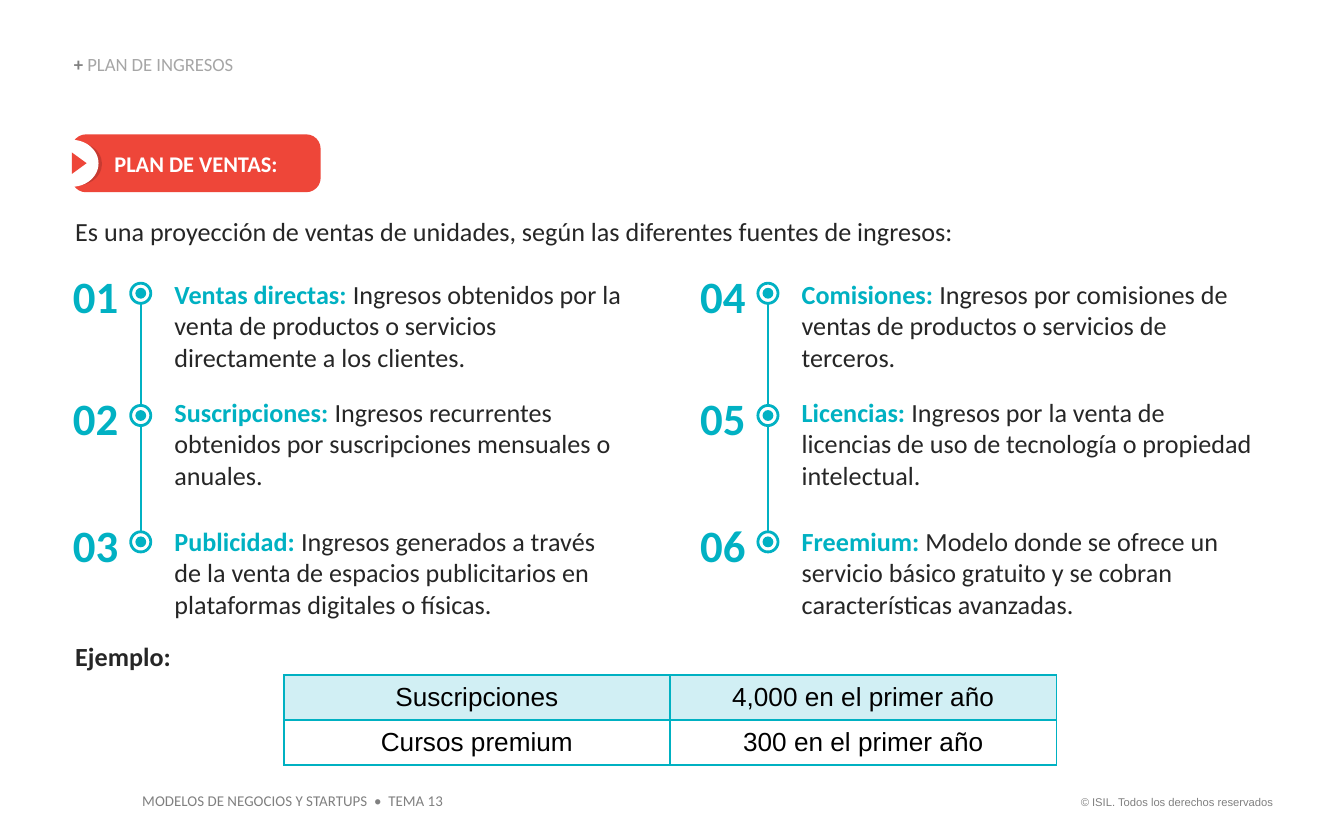
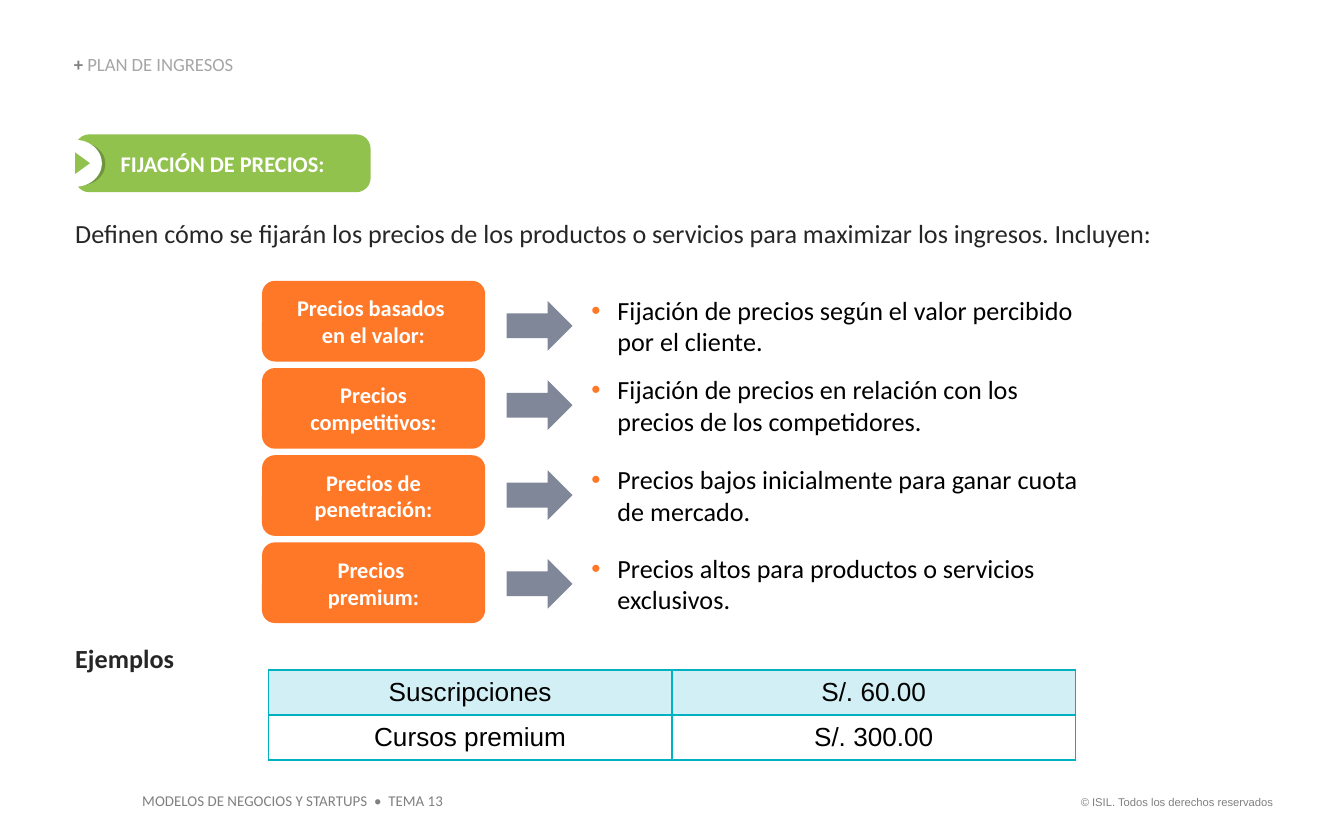
from lxml.etree import SubElement
from pptx import Presentation
from pptx.dml.color import RGBColor
from pptx.enum.shapes import MSO_CONNECTOR as Connector, MSO_SHAPE as Shape
from pptx.enum.text import MSO_ANCHOR as Anchor, MSO_AUTO_SIZE as AutoSize, PP_ALIGN as Align
from pptx.oxml.ns import qn
from pptx.util import Pt

# Shared colours
TEAL, TEAL_TITLE, TEAL_PALE = "01B1C3", "00B1C2", "D1EFF4"
RED, RED_DARK = "EE4639", "C73A31"
GREEN, GREEN_DARK = "92C24E", "6F953D"
ORANGE, SLATE = "FE7828", "808799"
INK, GREY, GREY_LIGHT = "262626", "808080", "A6A6A6"
BLACK, WHITE = "000000", "FFFFFF"

# Revenue sources, in two columns of three
COLUMN_LEFTS = (0, 336)
NUMBER_TOPS = (144, 209.5, 277.2)
DETAIL_TOPS = (149, 212.4, 281.5)
SOURCES = [
    ("Ventas directas: ", "Ingresos obtenidos por la venta de productos o servicios "
     "directamente a los clientes."),
    ("Suscripciones: ", "Ingresos recurrentes obtenidos por suscripciones mensuales o anuales."),
    ("Publicidad: ", "Ingresos generados a través de la venta de espacios publicitarios "
     "en plataformas digitales o físicas."),
    ("Comisiones: ", "Ingresos por comisiones de ventas de productos o servicios de terceros."),
    ("Licencias: ", "Ingresos por la venta de licencias de uso de tecnología "
     "o propiedad intelectual."),
    ("Freemium: ", "Modelo donde se ofrece un servicio básico gratuito y se cobran "
     "características avanzadas."),
]

# Pricing methods: label, explanation and top of the explanation
METHOD_TOP, METHOD_STEP = 150.5, 46.7
METHODS = [
    ("Precios basados \ven el valor:",
     "Fijación de precios según el valor percibido por el cliente.", 157.7),
    ("Precios competitivos:",
     "Fijación de precios en relación con los precios de los competidores.", 200.2),
    ("Precios de penetración:",
     "Precios bajos inicialmente para ganar cuota de mercado.", 248.4),
    ("Precios \vpremium:",
     "Precios altos para productos o servicios exclusivos.", 295.9),
]


def colour(value):
    return RGBColor.from_string(value)


def place(left, top, width, height):
    return Pt(left), Pt(top), Pt(width), Pt(height)


def style(font, size, tone, bold=False, name="Calibri"):
    font.size, font.bold, font.name = Pt(size), bold, name
    font.color.rgb = colour(tone)


def add_spans(para, spans, size, name="Calibri"):
    """Fill a paragraph with (text, colour, bold) spans."""
    for text, tone, bold in spans:
        span = para.add_run()
        span.text = text
        style(span.font, size, tone, bold, name)


def add_text(page, area, spans, size, align=Align.LEFT, name="Calibri", inset=0, wrap=True):
    box = page.shapes.add_textbox(*place(*area))
    frame = box.text_frame
    frame.word_wrap, frame.auto_size = wrap, AutoSize.SHAPE_TO_FIT_TEXT
    frame.margin_left = frame.margin_right = Pt(inset)
    frame.margin_top = frame.margin_bottom = Pt(inset / 2)
    para = frame.paragraphs[0]
    para.alignment = align
    add_spans(para, spans, size, name)
    return frame


def add_figure(page, kind, area, fill, line=None, radius=None):
    figure = page.shapes.add_shape(kind, *place(*area))
    figure.shadow.inherit = False
    figure.fill.solid()
    figure.fill.fore_color.rgb = colour(fill)
    if line:
        figure.line.color.rgb = colour(line)
        figure.line.width = Pt(1.5)
    else:
        figure.line.fill.background()
    if radius is not None:
        figure.adjustments[0] = radius
    return figure


def add_label(page, area, text, fill, radius):
    """Rounded box with white bold centred text."""
    label = add_figure(page, Shape.ROUNDED_RECTANGLE, area, fill, radius=radius)
    frame = label.text_frame
    frame.word_wrap, frame.vertical_anchor = True, Anchor.MIDDLE
    para = frame.paragraphs[0]
    para.text = text
    para.alignment = Align.CENTER
    for span in para.runs:
        style(span.font, 12, WHITE, True)


def add_tag(page, left, width, text, fill, shade):
    """Section tag with a notch and a small pointer at its left."""
    add_label(page, (left, 72, width, 31), text, fill, 0.248)
    add_figure(page, Shape.OVAL, (left - 10.3, 76.3, 26.6, 23), shade)
    add_figure(page, Shape.OVAL, (left - 14.4, 74.9, 28.8, 25.2), WHITE)
    pointer = add_figure(page, Shape.ISOSCELES_TRIANGLE, (left - 1.7, 83.5, 11.5, 7.9), fill)
    pointer.rotation = 90


def add_intro(page, top, text, example):
    """Opening sentence, with the heading of the example table far below."""
    frame = add_text(page, (40.3, top, 640, 252), [(text, INK, False)], 14)
    para = frame.add_paragraph()
    para.space_before = Pt(211)
    add_spans(para, [(example, INK, True)], 14)


def add_node(page, left, top):
    add_figure(page, Shape.OVAL, (left, top, 10.8, 10.8), WHITE, line=TEAL)
    add_figure(page, Shape.OVAL, (left + 2.5, top + 2.5, 5.8, 5.8), TEAL)


def add_thread(page, x, top, bottom):
    thread = page.shapes.add_connector(Connector.STRAIGHT, Pt(x), Pt(top), Pt(x), Pt(bottom))
    thread.line.color.rgb = colour(TEAL)
    thread.line.width = Pt(1)
    SubElement(thread._element.spPr, qn("a:effectLst"))


def add_source(page, left, row, number, title, detail):
    top = NUMBER_TOPS[row]
    add_text(page, (left + 31.7, top, 31.7, 28.8), [(f"{number:02}", TEAL, True)], 24, Align.RIGHT)
    add_node(page, left + 70, top + 7.7)
    add_text(page, (left + 93.5, DETAIL_TOPS[row], 241.5, 51),
             [(title, TEAL_TITLE, True), (detail, INK, False)], 14)


def add_bullet(para):
    props = para._p.get_or_add_pPr()
    props.set("marL", str(Pt(14)))
    props.set("indent", str(Pt(-14)))
    tint = SubElement(props, qn("a:buClr"))
    SubElement(tint, qn("a:srgbClr"), val=ORANGE)
    SubElement(props, qn("a:buFont"), typeface="Arial")
    SubElement(props, qn("a:buChar"), char="•")


def add_method(page, row, label, detail, top):
    add_label(page, (140.4, METHOD_TOP + row * METHOD_STEP, 119.5, 43.2), label, ORANGE, 0.16)
    add_figure(page, Shape.RIGHT_ARROW, (271.4, top + 3.6, 35.3, 26.6), SLATE)
    frame = add_text(page, (316.8, top, 262.8, 33.8), [(detail, BLACK, False)], 14)
    add_bullet(frame.paragraphs[0])


def add_borders(cell):
    props = cell._tc.get_or_add_tcPr()
    for side in ("lnL", "lnR", "lnT", "lnB"):
        border = SubElement(props, qn(f"a:{side}"), w=str(Pt(1)))
        fill = SubElement(border, qn("a:solidFill"))
        SubElement(fill, qn("a:srgbClr"), val=TEAL_TITLE)


def add_grid(page, left, top, column_width, rows):
    """Two-column example table with a tinted first row."""
    row_height = 24.1
    area = place(left, top, 2 * column_width, len(rows) * row_height)
    table = page.shapes.add_table(len(rows), 2, *area).table
    table.first_row = table.horz_banding = False
    for column in table.columns:
        column.width = Pt(column_width)
    for number, texts in enumerate(rows):
        table.rows[number].height = Pt(row_height)
        for cell, text in zip(table.rows[number].cells, texts):
            add_borders(cell)
            if number == 0:
                cell.fill.solid()
                cell.fill.fore_color.rgb = colour(TEAL_PALE)
            else:
                cell.fill.background()
            cell.vertical_anchor = Anchor.MIDDLE
            para = cell.text_frame.paragraphs[0]
            para.alignment = Align.CENTER
            add_spans(para, [(text, BLACK, False)], 14, "Arial")


def add_page(deck):
    """Blank page with the shared heading and footers."""
    page = deck.slides.add_slide(deck.slide_layouts[6])
    add_text(page, (567.4, 422.6, 121.7, 14.4),
             [("© ISIL. Todos los derechos reservados", GREY, False)], 6,
             Align.RIGHT, "Arial", inset=7.2, wrap=False)
    add_text(page, (69.1, 420.5, 176.4, 17.3),
             [("MODELOS DE NEGOCIOS Y STARTUPS  •  TEMA 13", GREY, False)], 8,
             inset=7.2, wrap=False)
    heading = add_text(page, (39.6, 29.5, 306, 10.8),
                       [("+ ", GREY, True), ("PLAN DE INGRESOS", GREY_LIGHT, False)], 10)
    heading.vertical_anchor = Anchor.BOTTOM
    heading.paragraphs[0].line_spacing = 0.9
    return page


def build_sales_plan(deck):
    page = add_page(deck)
    add_intro(page, 115.2, "Es una proyección de ventas de unidades, "
              "según las diferentes fuentes de ingresos:", "Ejemplo:")
    add_grid(page, 152, 361.6, 207, [("Suscripciones", "4,000 en el primer año"),
                                     ("Cursos premium", "300 en el primer año")])
    for left in COLUMN_LEFTS:
        add_thread(page, left + 75.4, 160, 293)
    for index, (title, detail) in enumerate(SOURCES):
        column, row = divmod(index, 3)
        add_source(page, COLUMN_LEFTS[column], row, index + 1, title, detail)
    add_tag(page, 38.4, 133.4, "PLAN DE VENTAS:", RED, RED_DARK)


def build_pricing(deck):
    page = add_page(deck)
    add_intro(page, 116.6, "Definen cómo se fijarán los precios de los productos o servicios "
              "para maximizar los ingresos. Incluyen:", "Ejemplos")
    add_grid(page, 143.8, 359, 216.2, [("Suscripciones", "S/. 60.00"),
                                       ("Cursos premium", "S/. 300.00")])
    for row, method in enumerate(METHODS):
        add_method(page, row, *method)
    add_tag(page, 40.2, 158.4, "FIJACIÓN DE PRECIOS:", GREEN, GREEN_DARK)


def main():
    deck = Presentation()
    deck.slide_width, deck.slide_height = Pt(720), Pt(450)
    build_sales_plan(deck)
    build_pricing(deck)
    deck.save("out.pptx")


if __name__ == "__main__":
    main()
